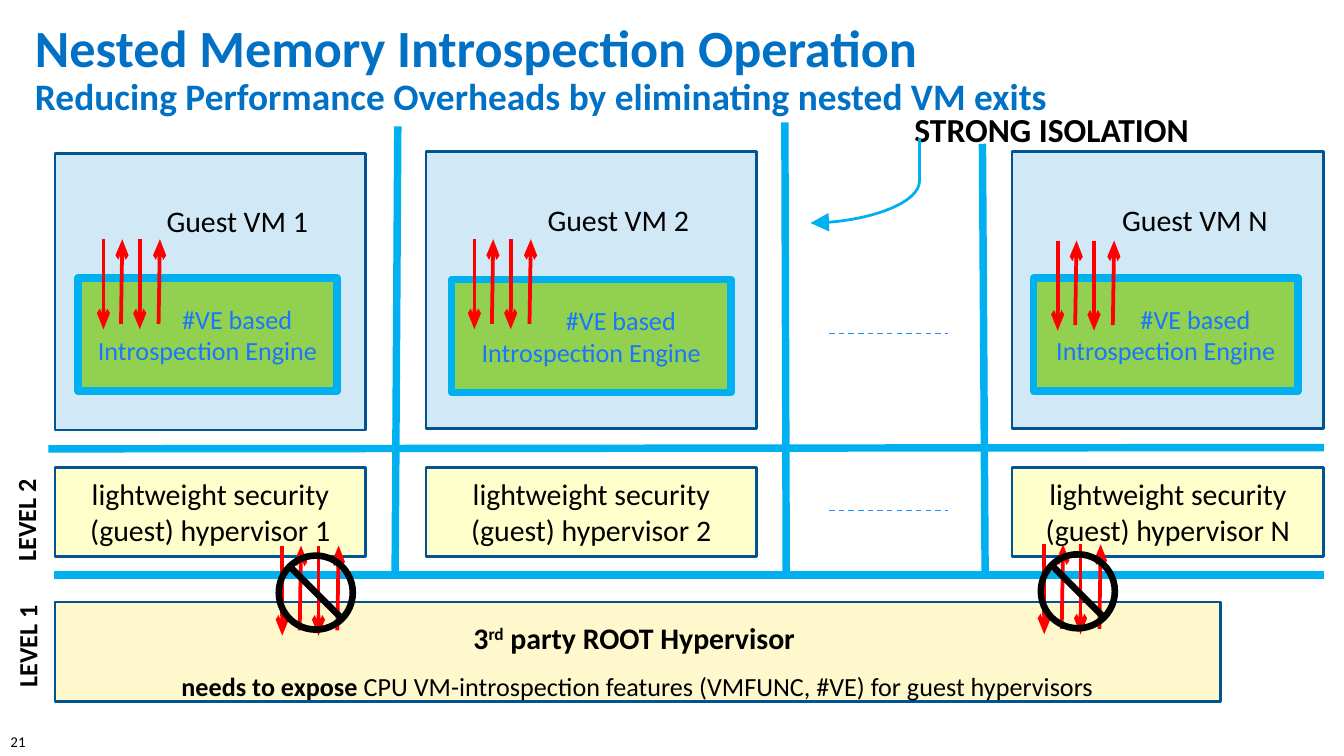
from dataclasses import dataclass

import pptx
import pptx.dml.color
import pptx.enum.dml
import pptx.enum.shapes
import pptx.enum.text
import pptx.oxml
import pptx.oxml.ns
import pptx.util

Inches = pptx.util.Inches
Pt = pptx.util.Pt
RGBColor = pptx.dml.color.RGBColor
Shape = pptx.enum.shapes.MSO_SHAPE
Link = pptx.enum.shapes.MSO_CONNECTOR
Align = pptx.enum.text.PP_ALIGN
Anchor = pptx.enum.text.MSO_ANCHOR
qn = pptx.oxml.ns.qn

BLACK = RGBColor(0x00, 0x00, 0x00)
TITLE = RGBColor(0x00, 0x71, 0xC5)
NAVY = RGBColor(0x00, 0x54, 0x92)
PALE = RGBColor(0xD1, 0xE9, 0xF6)
CREAM = RGBColor(0xFF, 0xF8, 0xCC)
YELLOW = RGBColor(0xFF, 0xFF, 0xCC)
GREEN = RGBColor(0x92, 0xD0, 0x50)
SKY = RGBColor(0x00, 0xB0, 0xF0)
BLUE = RGBColor(0x19, 0x76, 0xFF)
DASH = RGBColor(0x1A, 0x90, 0xFF)
RED = RGBColor(0xFF, 0x00, 0x00)


@dataclass
class Box:
    left: float
    top: float
    width: float
    height: float


@dataclass
class Guest:
    name: str
    left: float
    width: float
    top: float
    engine: Box


@dataclass
class Wall:
    x1: float
    y1: float
    x2: float
    y2: float


@dataclass
class Head:
    kind: str
    width: str
    length: str


OPEN = Head("arrow", "med", "lg")
SOLID = Head("triangle", "lg", "lg")

GUESTS = [
    Guest("1", 0.41, 2.31, 1.14, Box(0.58, 2.07, 1.93, 0.84)),
    Guest("2", 3.17, 2.46, 1.13, Box(3.36, 2.08, 2.08, 0.84)),
    Guest("N", 7.53, 2.32, 1.13, Box(7.69, 2.07, 1.97, 0.84)),
]
WALLS = [
    Wall(0.4, 4.28, 9.85, 4.28),
    Wall(2.94, 4.28, 2.96, 0.94),
    Wall(7.33, 4.28, 7.31, 1.07),
    Wall(5.85, 4.28, 5.84, 0.91),
    Wall(0.36, 3.34, 9.85, 3.33),
]
CALLS = [(0.77, 1.78), (3.53, 1.78), (7.87, 1.79)]
BLOCKED = [(2.1, 4.06), (7.77, 4.05)]


def style(frame, size: float, color: RGBColor, bold: bool = False,
          align=Align.CENTER) -> None:
    for para in frame.paragraphs:
        para.alignment = align
        for run in para.runs:
            run.font.name = "Calibri"
            run.font.size = Pt(size)
            run.font.bold = bold
            run.font.color.rgb = color


def inset(frame, left: float, top: float, right: float, bottom: float) -> None:
    frame.margin_left, frame.margin_top = Inches(left), Inches(top)
    frame.margin_right, frame.margin_bottom = Inches(right), Inches(bottom)


def panel(slide, box: Box, fill: RGBColor, edge: RGBColor | None = None,
          weight: float = 1.5, kind=Shape.RECTANGLE):
    shape = slide.shapes.add_shape(kind, Inches(box.left), Inches(box.top),
                                   Inches(box.width), Inches(box.height))
    shape.shadow.inherit = False
    shape.fill.solid()
    shape.fill.fore_color.rgb = fill
    if edge is None:
        shape.line.fill.background()
    else:
        shape.line.color.rgb = edge
        shape.line.width = Pt(weight)
    shape.text_frame.word_wrap = True
    shape.text_frame.vertical_anchor = Anchor.MIDDLE
    return shape


def label(slide, box: Box, text: str, size: float, color: RGBColor = BLACK,
          bold: bool = True, align=Align.CENTER, turn: float = 0):
    shape = slide.shapes.add_textbox(Inches(box.left), Inches(box.top),
                                     Inches(box.width), Inches(box.height))
    shape.rotation = turn
    shape.text_frame.word_wrap = True
    shape.text_frame.text = text
    style(shape.text_frame, size, color, bold, align)
    return shape


def link(slide, x1: float, y1: float, x2: float, y2: float, color: RGBColor,
         weight: float, head: Head | None = None, kind=Link.STRAIGHT):
    """Draw a line, with an arrowhead at its end if one is given."""
    line = slide.shapes.add_connector(kind, Inches(x1), Inches(y1),
                                      Inches(x2), Inches(y2))
    line.line.color.rgb = color
    line.line.width = Pt(weight)
    props = line._element.spPr
    if head:
        tip = {"type": head.kind, "w": head.width, "len": head.length}
        props.find(qn("a:ln")).append(props.makeelement(qn("a:tailEnd"), tip))
    props.append(props.makeelement(qn("a:effectLst"), {}))
    return line


def arrows(slide, x: float, y: float) -> None:
    """Draw two down and two up arrows from a top left point."""
    for gap in (0, 0.27):
        link(slide, x + gap, y, x + gap, y + 0.67, RED, 2, OPEN)
    for gap in (0.13, 0.41):
        link(slide, x + gap, y + 0.63, x + gap + 0.01, y, RED, 2, OPEN)


def guest(slide, item: Guest) -> None:
    room = panel(slide, Box(item.left, item.top, item.width, 2.06), PALE, NAVY)
    frame = room.text_frame
    frame.vertical_anchor = Anchor.TOP
    inset(frame, 0.5, 0.37, 0.1, 0.05)
    frame.text = f"Guest VM {item.name}"
    style(frame, 16, BLACK)

    host = panel(slide, Box(item.left, 3.48, item.width, 0.66), YELLOW, NAVY)
    host.text_frame.text = f"lightweight security\v(guest) hypervisor {item.name}"
    style(host.text_frame, 16, BLACK)


def engine(slide, box: Box) -> None:
    frame = panel(slide, box, GREEN, SKY, 4).text_frame
    inset(frame, 0, 0.05, 0, 0.05)
    frame.text = "#VE based Introspection Engine"
    style(frame, 14, BLUE)
    props = frame.paragraphs[0]._p.get_or_add_pPr()
    props.set("marL", "0")
    props.set("indent", str(Inches(0.44)))


def root(slide) -> None:
    frame = panel(slide, Box(0.41, 4.48, 8.67, 0.74), CREAM, NAVY).text_frame
    frame.text = "3\nneeds to expose"
    first, second = frame.paragraphs
    power = first.add_run()
    power.text = "rd"
    first.add_run().text = " party ROOT Hypervisor "
    second.add_run().text = " CPU VM-introspection features (VMFUNC, #VE) for guest hypervisors"
    style(frame, 16, BLACK, True)
    power._r.get_or_add_rPr().set("baseline", "30000")
    for para in frame.paragraphs:
        para.line_spacing = 1.5
    for run in second.runs:
        run.font.size = Pt(14)
    second.runs[1].font.bold = False


def curve(slide) -> None:
    line = link(slide, 6.84, 1.03, 6.03, 1.66, SKY, 1.5, SOLID, Link.CURVE)
    frame = line._element.spPr.find(qn("a:xfrm"))
    frame.attrib.pop("flipH", None)
    frame.set("rot", "10800000")
    frame.set("flipV", "1")
    rules = line._element.spPr.find(qn("a:prstGeom")).find(qn("a:avLst"))
    rules.append(rules.makeelement(qn("a:gd"), {"name": "adj1", "fmla": "val -200"}))


def main() -> None:
    deck = pptx.Presentation()
    deck.slide_width, deck.slide_height = Inches(10), Inches(10 * 9 / 16)
    slide = deck.slides.add_slide(deck.slide_layouts[6])

    page = label(slide, Box(-0.02, 5.4, 0.34, 0.24), "21", 8, bold=False, align=Align.LEFT)
    page.text_frame.word_wrap = False
    title = label(slide, Box(0.21, 0.23, 9.29, 0.59),
                  "Nested Memory Introspection Operation\v"
                  "Reducing Performance Overheads by eliminating nested VM exits",
                  28, TITLE, align=Align.LEFT).text_frame
    title.vertical_anchor = Anchor.MIDDLE
    inset(title, 0.05, 0.03, 0.05, 0.03)
    title.paragraphs[0].line_spacing = 0.9
    title.paragraphs[0].runs[1].font.size = Pt(20)

    root(slide)
    for item in GUESTS:
        guest(slide, item)
    label(slide, Box(-0.41, 4.64, 1.23, 0.34), "LEVEL 1", 14, turn=270)
    label(slide, Box(-0.42, 3.7, 1.23, 0.34), "LEVEL 2", 14, turn=270)

    for y in (2.48, 3.8):
        dots = link(slide, 6.17, y, 7.05, y, DASH, 0.75)
        dots.line.dash_style = pptx.enum.dml.MSO_LINE.DASH
    for wall in WALLS:
        link(slide, wall.x1, wall.y1, wall.x2, wall.y2, SKY, 4)
    label(slide, Box(6.38, 0.76, 2.89, 0.4), "STRONG ISOLATION", 18)
    curve(slide)

    for item in GUESTS:
        engine(slide, item.engine)
    for x, y in CALLS:
        arrows(slide, x, y)
    for x, y in BLOCKED:
        arrows(slide, x, y)
        ban = panel(slide, Box(x - 0.05, y + 0.05, 0.6, 0.6), BLACK, kind=Shape.NO_SYMBOL)
        ban.adjustments[0] = 0.082

    deck.save("out.pptx")


if __name__ == "__main__":
    main()
